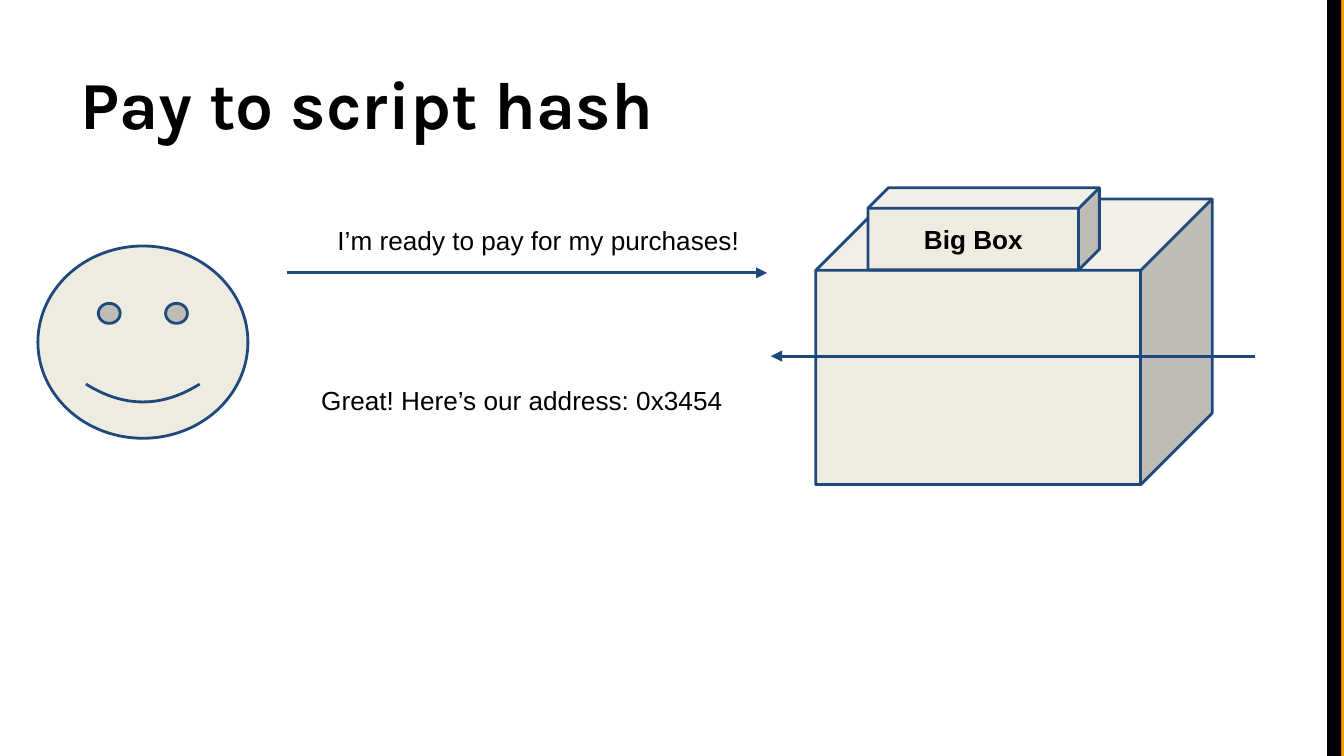
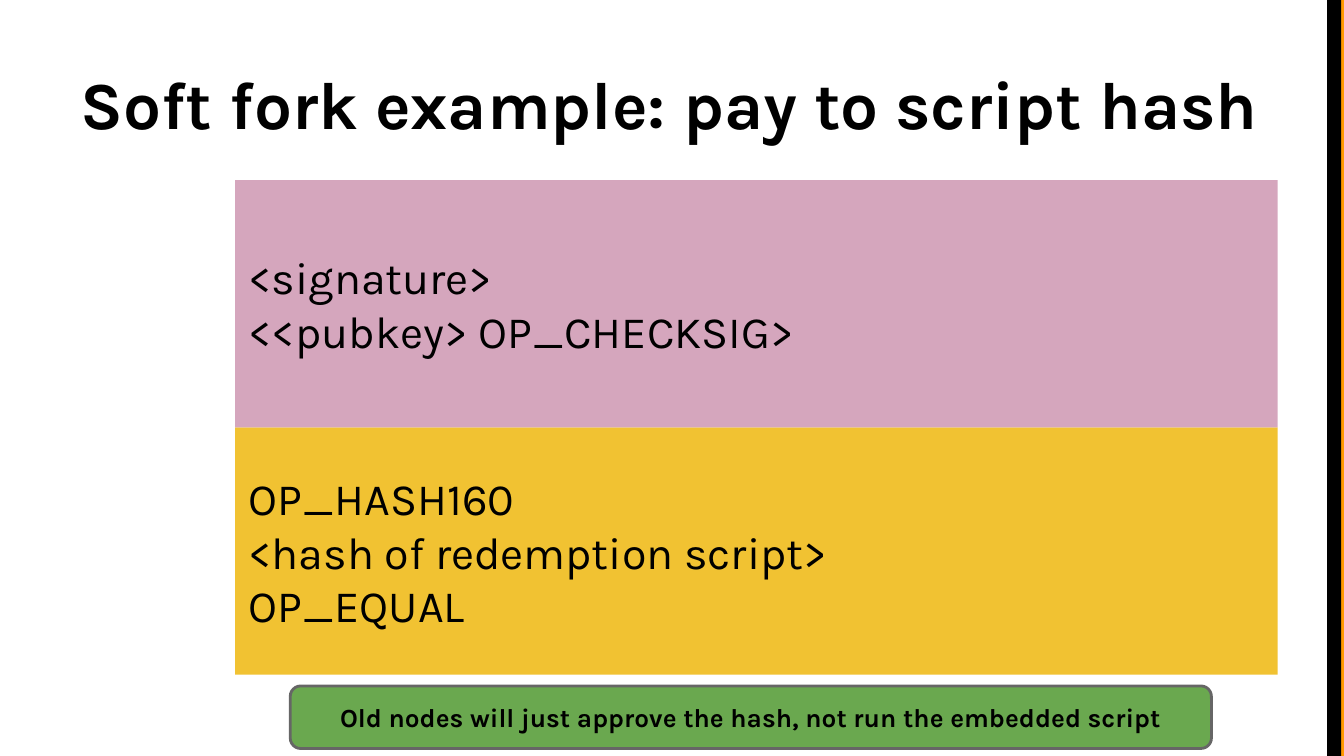
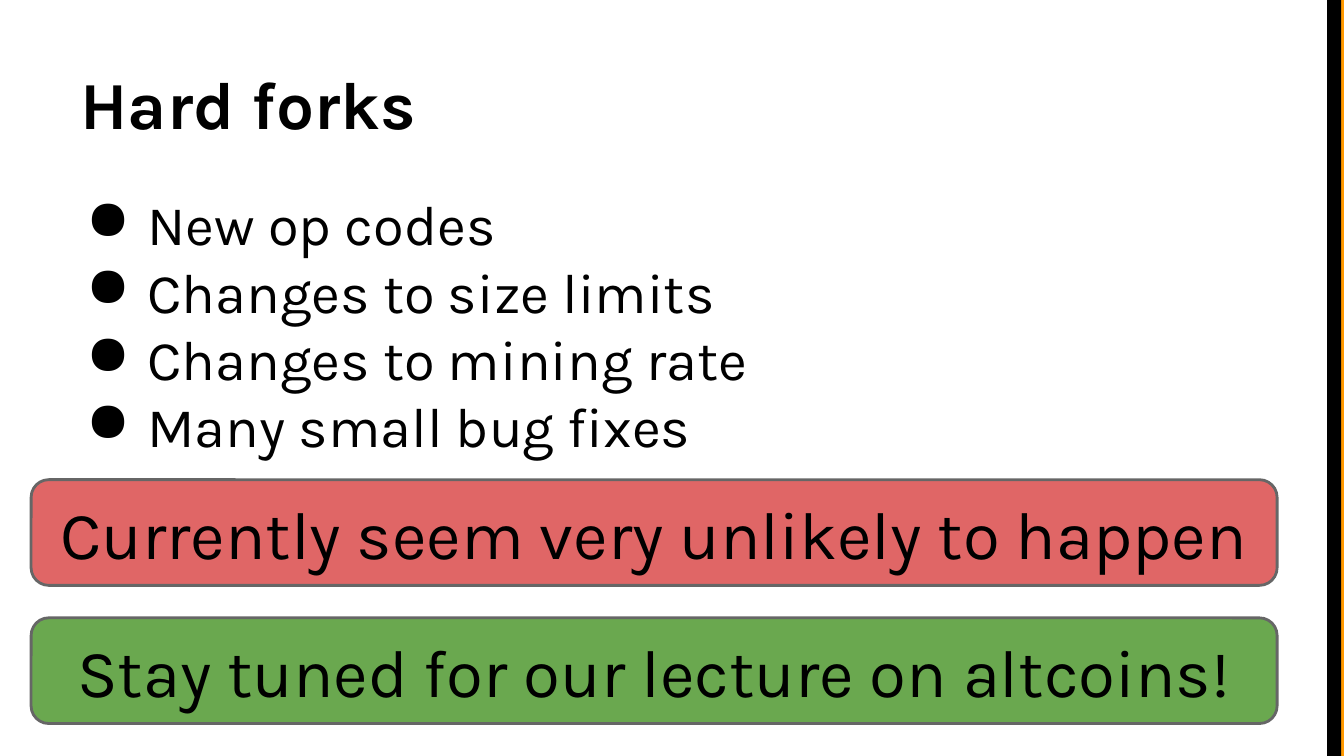
import pptx
import pptx.dml.color
import pptx.enum.shapes
import pptx.enum.text
import pptx.oxml.ns
import pptx.util
from lxml import etree

Pt = pptx.util.Pt
RGBColor = pptx.dml.color.RGBColor
SHAPE = pptx.enum.shapes.MSO_SHAPE
ALIGN = pptx.enum.text.PP_ALIGN
ANCHOR = pptx.enum.text.MSO_ANCHOR
qn = pptx.oxml.ns.qn

BLACK = RGBColor(0x00, 0x00, 0x00)
ORANGE = RGBColor(0xFF, 0x99, 0x00)
CREAM = RGBColor(0xEE, 0xEC, 0xE1)
NAVY = RGBColor(0x1F, 0x49, 0x7D)
YELLOW = RGBColor(0xF1, 0xC2, 0x32)
PINK = RGBColor(0xD5, 0xA6, 0xBD)
GREEN = RGBColor(0x6A, 0xA8, 0x4F)
RED = RGBColor(0xE0, 0x66, 0x66)
GRAY = RGBColor(0x66, 0x66, 0x66)

WIDTH, HEIGHT = 720, 405
INSET = 7.2
LINE_WIDTH = 1.5


def add_box(slide, kind, left, top, width, height, fill, line=None):
    shape = slide.shapes.add_shape(kind, Pt(left), Pt(top), Pt(width), Pt(height))
    shape.shadow.inherit = False
    shape.fill.solid()
    shape.fill.fore_color.rgb = fill
    if line is None:
        shape.line.fill.background()
    else:
        shape.line.color.rgb = line
        shape.line.width = Pt(LINE_WIDTH)
    return shape


def write(shape, lines, size, font="Karla", bold=False,
          align=ALIGN.LEFT, anchor=ANCHOR.MIDDLE, bullet=None):
    frame = shape.text_frame
    frame.word_wrap = True
    frame.vertical_anchor = anchor
    frame.margin_left = frame.margin_right = Pt(INSET)
    frame.margin_top = frame.margin_bottom = Pt(INSET)
    frame.text = "\n".join(lines)
    for paragraph in frame.paragraphs:
        paragraph.alignment = align
        if bullet:
            properties = paragraph._p.get_or_add_pPr()
            properties.set("marL", str(Pt(36)))
            properties.set("indent", str(-Pt(33)))
            color = etree.SubElement(properties, qn("a:buClr"))
            etree.SubElement(color, qn("a:srgbClr"), val=str(BLACK))
            etree.SubElement(properties, qn("a:buChar"), char=bullet)
        for run in paragraph.runs:
            run.font.name = font
            run.font.size = Pt(size)
            run.font.bold = bold
            run.font.color.rgb = BLACK


presentation = pptx.Presentation()
presentation.slide_width = Pt(WIDTH)
presentation.slide_height = Pt(HEIGHT)

# Shared frame: edge bands and title
slides = []
for title, title_width in [("Pay to script hash", 648),
                           ("Soft fork example: pay to script hash", 684),
                           ("Hard forks", 648)]:
    slide = presentation.slides.add_slide(presentation.slide_layouts[6])
    for band_left, band_color in [(718.5, ORANGE), (711, BLACK)]:
        add_box(slide, SHAPE.RECTANGLE, band_left, 0, 7.5, HEIGHT, band_color)
    title_box = slide.shapes.add_textbox(Pt(36), Pt(16.5), Pt(title_width), Pt(67.5))
    write(title_box, [title], 36, bold=True, anchor=ANCHOR.BOTTOM)
    slides.append(slide)
payment_slide, script_slide, hard_fork_slide = slides

# Payment: the store and its sign
add_box(payment_slide, SHAPE.CUBE, 437, 106.6, 212.4, 153, CREAM, NAVY)
sign = add_box(payment_slide, SHAPE.CUBE, 465, 100.6, 124, 44, CREAM, NAVY)
write(sign, ["Big Box"], 14, font="Arial", bold=True, align=ALIGN.CENTER)

# Payment: messages between customer and store
for start, end, arrow_y, message, left, top, width, height in [
    (153.5, 411, 146.2, "I’m ready to pay for my purchases!", 173.7, 113, 240, 25),
    (672.4, 413, 190.8, "Great! Here’s our address: 0x3454", 165, 198.5, 257, 30),
]:
    arrow = payment_slide.shapes.add_connector(
        pptx.enum.shapes.MSO_CONNECTOR.STRAIGHT,
        Pt(start), Pt(arrow_y), Pt(end), Pt(arrow_y))
    arrow.line.color.rgb = NAVY
    arrow.line.width = Pt(LINE_WIDTH)
    etree.SubElement(arrow.line._get_or_add_ln(), qn("a:tailEnd"), type="triangle")
    etree.SubElement(arrow._element.spPr, qn("a:effectLst"))
    message_box = payment_slide.shapes.add_textbox(
        Pt(left), Pt(top), Pt(width), Pt(height))
    write(message_box, [message], 14, font="Arial", anchor=ANCHOR.TOP)

# Payment: the customer
add_box(payment_slide, SHAPE.SMILEY_FACE, 20.3, 131.8, 112.5, 103, CREAM, NAVY)

# Soft fork: stacked script panels
PANEL_TOP, PANEL_HEIGHT = 96.5, 132.5
for row, color, lines in [
    (1, YELLOW, ["OP_HASH160", "<hash of redemption script>", "OP_EQUAL"]),
    (0, PINK, ["<signature>", "<<pubkey> OP_CHECKSIG>"]),
]:
    panel = add_box(script_slide, SHAPE.RECTANGLE, 126,
                    PANEL_TOP + row * PANEL_HEIGHT, 558.5, PANEL_HEIGHT, color)
    write(panel, lines, 24)

# Hard forks: list of changes
changes = hard_fork_slide.shapes.add_textbox(Pt(36), Pt(94.5), Pt(657), Pt(275))
write(changes, ["New op codes", "Changes to size limits",
                "Changes to mining rate", "Many small bug fixes"],
      30, anchor=ANCHOR.TOP, bullet="●")

# Rounded callouts
for slide, left, top, width, height, color, text, size, bold in [
    (script_slide, 155.5, 367.5, 493.5, 33.5, GREEN,
     "Old nodes will just approve the hash, not run the embedded script", 14, True),
    (hard_fork_slide, 16.7, 331, 667.5, 56.6, GREEN,
     "Stay tuned for our lecture on altcoins!", 36, False),
    (hard_fork_slide, 16.7, 257, 667.5, 56.6, RED,
     "Currently seem very unlikely to happen", 36, False),
]:
    callout = add_box(slide, SHAPE.ROUNDED_RECTANGLE, left, top, width, height,
                      color, GRAY)
    write(callout, [text], size, bold=bold, align=ALIGN.CENTER)

presentation.save("out.pptx")
